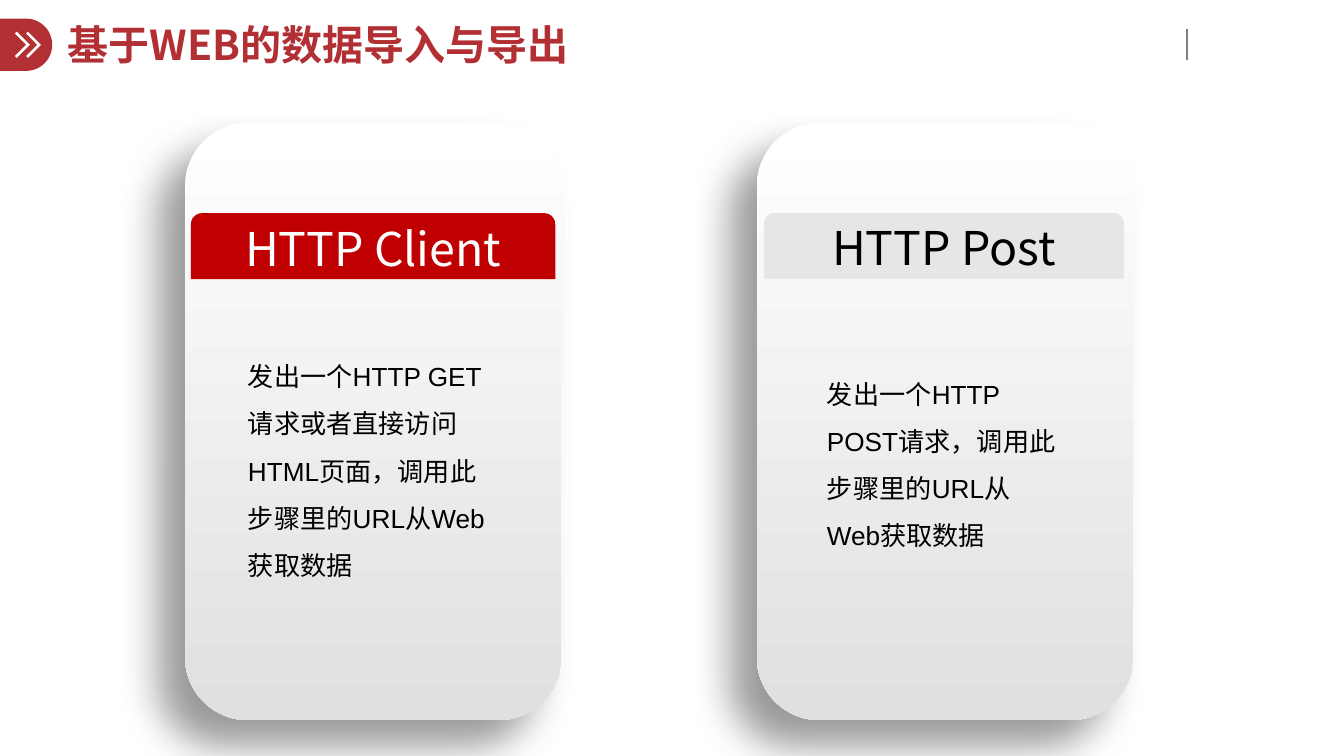
import lxml.etree
import pptx
import pptx.dml.color
import pptx.enum.shapes
import pptx.enum.text
import pptx.oxml.ns
import pptx.util

Pt = pptx.util.Pt
SHAPES = pptx.enum.shapes.MSO_SHAPE
ALIGN = pptx.enum.text.PP_ALIGN
ANCHOR = pptx.enum.text.MSO_ANCHOR
HEADING_FONT = "Noto Sans CJK SC"
BRAND_RED = "B22F33"


def color(hex_text):
    """Turn a hex string into a colour."""
    return pptx.dml.color.RGBColor.from_string(hex_text)


def add_child(parent, tag, **attributes):
    """Append a DrawingML element and return it."""
    child = lxml.etree.SubElement(parent, pptx.oxml.ns.qn(tag))
    for name, value in attributes.items():
        child.set(name, str(value))
    return child


def write_text(shape, text, size, font=HEADING_FONT, ink="000000", bold=False,
               align=ALIGN.LEFT, anchor=ANCHOR.TOP, spacing=1.0):
    """Fill a shape with one formatted paragraph."""
    frame = shape.text_frame
    frame.word_wrap = True
    frame.vertical_anchor = anchor
    frame.margin_left = frame.margin_right = Pt(5.4)
    frame.margin_top = frame.margin_bottom = Pt(2.7)
    paragraph = frame.paragraphs[0]
    paragraph.alignment = align
    paragraph.line_spacing = spacing
    run = paragraph.add_run()
    run.text = text
    run.font.name = font
    run.font.size = Pt(size)
    run.font.bold = bold
    run.font.color.rgb = color(ink)
    add_child(run.font._element, "a:ea", typeface=font)


def paint(shape, fill):
    """Give a shape a plain fill without line or shadow."""
    shape.shadow.inherit = False
    shape.fill.solid()
    shape.fill.fore_color.rgb = color(fill)
    shape.line.fill.background()


def add_block(slide, kind, box, fill):
    """Add a plainly filled preset shape."""
    block = slide.shapes.add_shape(kind, *map(Pt, box))
    paint(block, fill)
    return block


def add_chevron(slide, left):
    """Draw one white chevron on the title marker."""
    outline = [(0, 18.1), (1, 17.1), (7.7, 23.9), (1, 30.7), (0, 29.7), (5.6, 23.9)]
    points = [(left + x, y) for x, y in outline]
    builder = slide.shapes.build_freeform(*points[0], scale=Pt(1))
    builder.add_line_segments(points[1:], close=True)
    paint(builder.convert_to_shape(), "FFFFFF")


def add_header(slide, title):
    """Add the title with its marker and the divider at the right."""
    add_block(slide, SHAPES.FLOWCHART_DELAY, (0, 10, 28, 28), BRAND_RED)
    divider = slide.shapes.add_connector(
        pptx.enum.shapes.MSO_CONNECTOR.STRAIGHT, Pt(635.8), Pt(15.8), Pt(635.8), Pt(32.4))
    divider.line.color.rgb = color("7F7F7F")
    divider.line.width = Pt(1)
    add_child(divider._element.spPr, "a:effectLst")
    for left in (14.4, 8.1):
        add_chevron(slide, left)
    box = slide.shapes.add_textbox(Pt(31), Pt(10.8), Pt(525.6), Pt(28.8))
    write_text(box, title, 22, ink=BRAND_RED, bold=True,
               anchor=ANCHOR.MIDDLE, spacing=0.9)


def add_panel(slide, left):
    """Add a rounded gradient panel with a soft shadow at its lower left."""
    panel = add_block(slide, SHAPES.ROUNDED_RECTANGLE, (left, 65.8, 201.6, 320), "FFFFFF")
    panel.fill.gradient()
    panel.fill.gradient_angle = 270
    for stop, shade in zip(panel.fill.gradient_stops, ("FFFFFF", "E0E0E0")):
        stop.color.rgb = color(shade)
    effects = panel._element.spPr.find(pptx.oxml.ns.qn("a:effectLst"))
    shadow = add_child(effects, "a:outerShdw", blurRad=Pt(22), dist=Pt(20),
                       dir=135 * 60000, algn="tr", rotWithShape=0)
    shade = add_child(shadow, "a:srgbClr", val="000000")
    add_child(shade, "a:alpha", val=40000)


def add_card(slide, left, heading, band, fill, ink, body, body_box):
    """Add a panel with a heading band and a description."""
    add_panel(slide, left)
    banner = add_block(slide, SHAPES.ROUND_2_SAME_RECTANGLE, band, fill)
    write_text(banner, heading, 24.9, ink=ink, align=ALIGN.CENTER, anchor=ANCHOR.MIDDLE)
    description = slide.shapes.add_textbox(*map(Pt, body_box))
    write_text(description, body, 14, font="Arial", spacing=1.5)


def main():
    """Build and save the slide."""
    deck = pptx.Presentation()
    deck.slide_width, deck.slide_height = Pt(720), Pt(405)
    slide = deck.slides.add_slide(deck.slide_layouts[6])
    add_header(slide, "基于WEB的数据导入与导出")
    add_card(slide, 99.2, "HTTP Client", (102.3, 114.2, 195.2, 35.3), "C00000", "FFFFFF",
             "发出一个HTTP GET请求或者直接访问HTML页面，调用此步骤里的URL从Web获取数据",
             (127.4, 182.2, 138.2, 135.4))
    add_card(slide, 405.5, "HTTP Post", (409.2, 114, 193, 35.3), "E7E6E6", "000000",
             "发出一个HTTP POST请求，调用此步骤里的URL从Web获取数据",
             (437.6, 191.5, 136.8, 135.4))
    deck.save("out.pptx")


if __name__ == "__main__":
    main()
